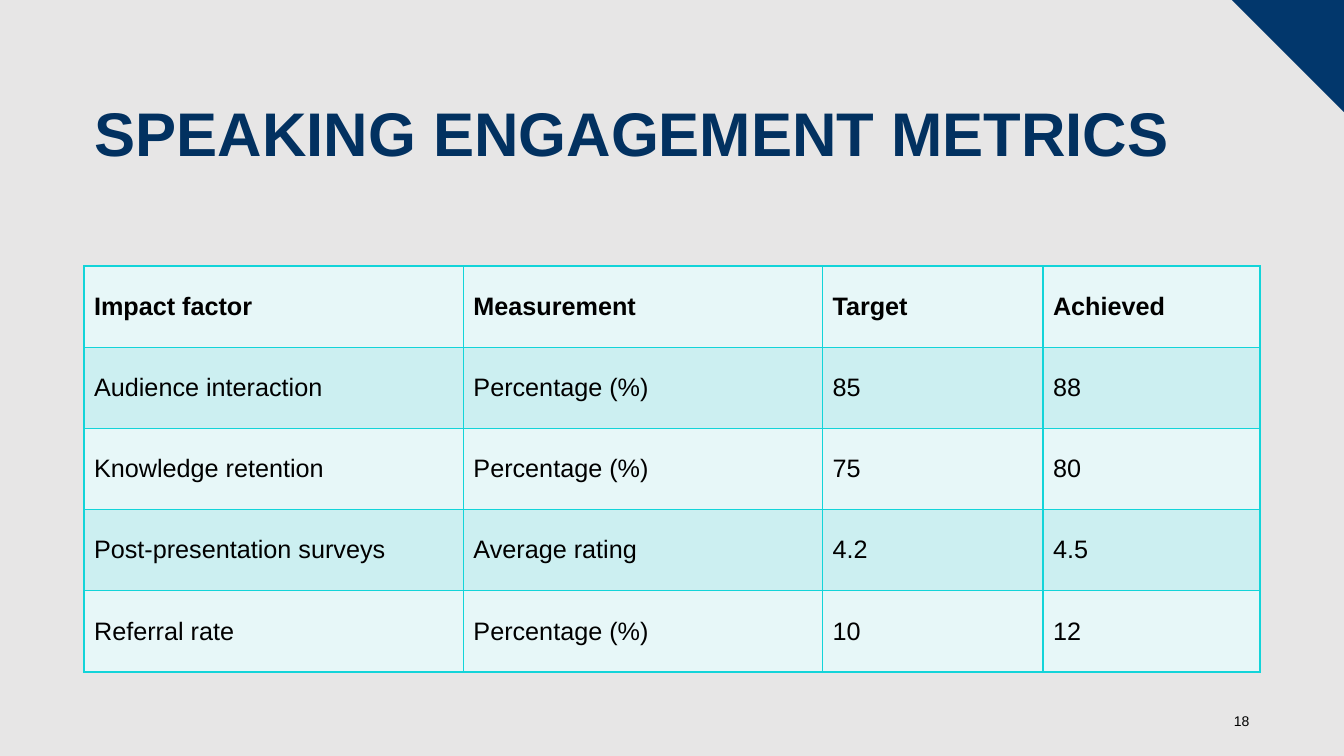
from lxml import etree
from pptx import Presentation
from pptx.dml.color import RGBColor
from pptx.enum.text import MSO_ANCHOR, MSO_AUTO_SIZE, PP_ALIGN
from pptx.oxml.ns import qn
from pptx.util import Pt

TOP, MIDDLE = MSO_ANCHOR.TOP, MSO_ANCHOR.MIDDLE
LEFT, RIGHT = PP_ALIGN.LEFT, PP_ALIGN.RIGHT
NO_FIT = MSO_AUTO_SIZE.NONE

SLIDE_WIDTH, SLIDE_HEIGHT = 960, 540
CORNER_SIZE = 80
ROW_HEIGHT = 58
COLUMN_WIDTHS = [271, 256.5, 157.5, 155]
ROW_FILLS = ["E7F7F8", "CCEFF1"]
BORDER_COLOR = "13D4D9"
METRICS = [
    ("Impact factor", "Measurement", "Target", "Achieved"),
    ("Audience interaction", "Percentage (%)", "85", "88"),
    ("Knowledge retention", "Percentage (%)", "75", "80"),
    ("Post-presentation surveys", "Average rating", "4.2", "4.5"),
    ("Referral rate", "Percentage (%)", "10", "12"),
]


def paint(fill, color):
    fill.solid()
    fill.fore_color.rgb = RGBColor.from_string(color)


def style(paragraph, size, color, bold=False, align=LEFT):
    paragraph.alignment = align
    font = paragraph.font
    font.name, font.size, font.bold = "Arial", Pt(size), bold
    paint(font.fill, color)


prs = Presentation()
prs.slide_width, prs.slide_height = Pt(SLIDE_WIDTH), Pt(SLIDE_HEIGHT)
slide = prs.slides.add_slide(prs.slide_layouts[5])
paint(slide.background.fill, "E7E6E6")

# Corner triangle
outline = slide.shapes.build_freeform(Pt(SLIDE_WIDTH - CORNER_SIZE), 0)
outline.add_line_segments([(Pt(SLIDE_WIDTH), 0), (Pt(SLIDE_WIDTH), Pt(CORNER_SIZE))])
corner = outline.convert_to_shape()
corner.shadow.inherit = False
paint(corner.fill, "02376C")
corner.line.fill.background()

# Title
title = slide.shapes.title
title.left, title.top, title.width, title.height = Pt(60.5), Pt(70.5), Pt(839.5), Pt(104.5)
title_frame = title.text_frame
title_frame.text = "SPEAKING ENGAGEMENT METRICS"
title_frame.word_wrap = True
title_frame.auto_size = NO_FIT
title_frame.vertical_anchor = TOP
title_frame.paragraphs[0].line_spacing = 0.9
style(title_frame.paragraphs[0], 44, "023160", bold=True)

# Metrics table
metrics_table = slide.shapes.add_table(
    len(METRICS), len(COLUMN_WIDTHS), Pt(60), Pt(190),
    Pt(sum(COLUMN_WIDTHS)), Pt(ROW_HEIGHT * len(METRICS))).table
for column, width in zip(metrics_table.columns, COLUMN_WIDTHS):
    column.width = Pt(width)
for r, metric in enumerate(METRICS):
    metrics_table.rows[r].height = Pt(ROW_HEIGHT)
    for c, entry in enumerate(metric):
        cell = metrics_table.cell(r, c)
        cell.text = entry
        cell.vertical_anchor = MIDDLE
        style(cell.text_frame.paragraphs[0], 18, "000000", bold=r == 0)
        # Borders come before the fill in the cell properties
        properties = cell._tc.get_or_add_tcPr()
        for side in ("a:lnL", "a:lnR", "a:lnT", "a:lnB"):
            border = etree.SubElement(properties, qn(side), w=str(Pt(1)))
            border_fill = etree.SubElement(border, qn("a:solidFill"))
            etree.SubElement(border_fill, qn("a:srgbClr"), val=BORDER_COLOR)
        paint(cell.fill, ROW_FILLS[r % 2])

# Slide number
number_frame = slide.shapes.add_textbox(Pt(863.5), Pt(500.5), Pt(36), Pt(29)).text_frame
number_frame.word_wrap = True
number_frame.vertical_anchor = MIDDLE
number_frame.text = "18"
style(number_frame.paragraphs[0], 10, "000000", align=RIGHT)

prs.save("out.pptx")
